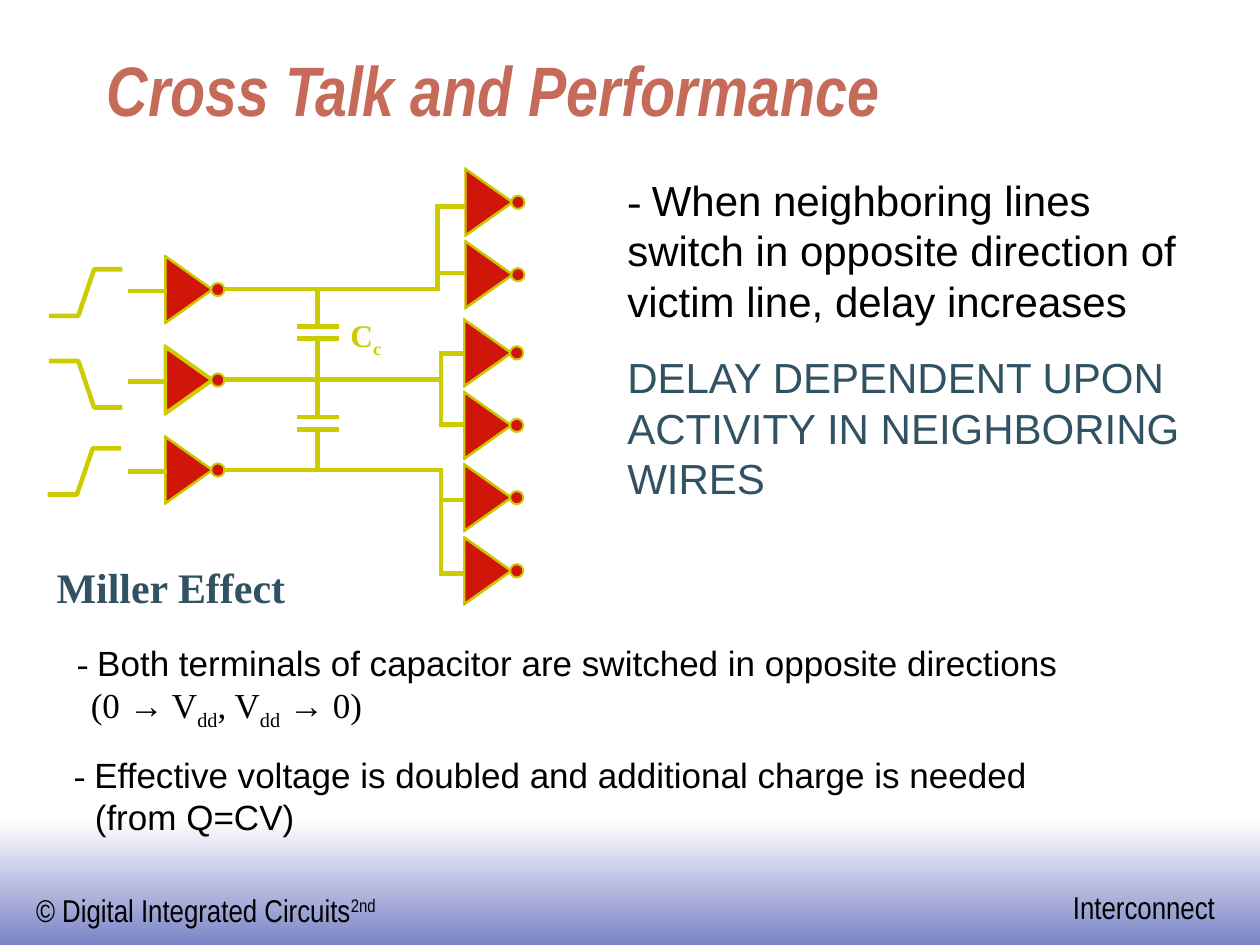
from lxml import etree
from pptx import Presentation
from pptx.dml.color import RGBColor as RGB
from pptx.enum.shapes import MSO_CONNECTOR as Connector, MSO_SHAPE as Shape
from pptx.enum.text import MSO_ANCHOR as Anchor, MSO_AUTO_SIZE as AutoSize
from pptx.oxml.ns import qn
from pptx.util import Pt

COLORS = {
    "wire": "CCCC00", "gate": "D01608", "title": "C66B5A", "accent": "315263",
    "text": "000000", "white": "FFFFFF", "footer": "7B84C6",
}
COLORS = {name: RGB.from_string(value) for name, value in COLORS.items()}
SANS, NARROW, SERIF = "Arial", "Arial Narrow", "Times New Roman"
WIRE = 2.6

deck = Presentation()
deck.slide_width, deck.slide_height = Pt(720), Pt(540)
page = deck.slides.add_slide(deck.slide_layouts[6])


def add_wire(x1, y1, x2, y2):
    wire = page.shapes.add_connector(Connector.STRAIGHT, Pt(x1), Pt(y1), Pt(x2), Pt(y2))
    wire.line.color.rgb = COLORS["wire"]
    wire.line.width = Pt(WIRE)
    etree.SubElement(wire._element.spPr, qn("a:effectLst"))


def add_text(at, paragraphs, wrap=True, inset=(7.2, 3.6), anchor=Anchor.TOP):
    """Each paragraph is (size, font, color, space before, left margin, indent, runs);
    a run is a string or (text, font, baseline in percent)."""
    box = page.shapes.add_textbox(*map(Pt, at))
    frame = box.text_frame
    frame.word_wrap, frame.vertical_anchor = wrap, anchor
    if not wrap:
        frame.auto_size = AutoSize.SHAPE_TO_FIT_TEXT
    frame.margin_left = frame.margin_right = Pt(inset[0])
    frame.margin_top = frame.margin_bottom = Pt(inset[1])
    for number, (size, font, color, before, margin, indent, runs) in enumerate(paragraphs):
        para = frame.paragraphs[0] if number == 0 else frame.add_paragraph()
        para.space_before = Pt(before)
        props = para._p.get_or_add_pPr()
        props.set("marL", str(Pt(margin)))
        props.set("indent", str(Pt(indent)))
        para.font.size, para.font.name, para.font.color.rgb = Pt(size), font, COLORS[color]
        for run in runs:
            if run == "\n":
                para.add_line_break()
                continue
            text, face, baseline = (run, None, 0) if isinstance(run, str) else run
            span = para.add_run()
            span.text = text
            span.font.size, span.font.name = Pt(size), face or font
            span.font.color.rgb = COLORS[color]
            if baseline:
                span._r.get_or_add_rPr().set("baseline", str(baseline * 1000))
    return frame


# Footer band
band = page.shapes.add_shape(Shape.RECTANGLE, 0, Pt(468), Pt(720), Pt(72))
band.shadow.inherit = False
band.line.fill.background()
band.fill.gradient()
band.fill.gradient_angle = 270
for stop, position, color in zip(band.fill.gradient_stops, (0, 1), ("white", "footer")):
    stop.position, stop.color.rgb = position, COLORS[color]
add_text((13.5, 505.5, 212, 29), [(18, NARROW, "text", 0, 0, 0, [
    "© Digital Integrated Circuits", ("2nd", NARROW, 30)])], wrap=False)
add_text((606, 504, 96, 29), [(18, NARROW, "text", 0, 0, 0, ["Interconnect"])], wrap=False)

# Title
title = add_text((54, 24, 612, 54), [
    (40, NARROW, "title", 0, 0, 0, ["Cross Talk and Performance"])], anchor=Anchor.BOTTOM)
title.paragraphs[0].font.bold = title.paragraphs[0].font.italic = True

# Inverters: left edge, centre height, outline width
drivers = [(94.2, 165.5, 0.75), (94.2, 217.2, 1.5), (94.2, 268.6, 0.75)]
loads = [(265.7, 115.6, 0.75), (265.7, 157, 0.75)]
loads += [(265, y, 0.75) for y in (201.7, 243.1, 284.4, 326.2)]
for left, middle, outline in drivers + loads:
    parts = []
    for inset, length, half in ((0, 27.8, 19.7), (0.6, 26, 18.4)):
        gate = page.shapes.build_freeform(Pt(left + inset), Pt(middle - half))
        gate.add_line_segments([(Pt(left + inset + length), Pt(middle)),
                                (Pt(left + inset), Pt(middle + half))])
        parts.append((gate.convert_to_shape(), outline))
    bubble = page.shapes.add_shape(
        Shape.OVAL, Pt(left + 26.5), Pt(middle - 3.8), Pt(7.6), Pt(7.6))
    for part, width in parts + [(bubble, 1.13)]:
        part.shadow.inherit = False
        part.fill.solid()
        part.fill.fore_color.rgb = COLORS["gate"]
        part.line.color.rgb = COLORS["wire"]
        part.line.width = Pt(width)

# Nets: line height, bus position, bus top and bottom, branch heights
nets = [
    (165.2, 249.9, 116.7, 166.5, (118, 156)),
    (217, 252, 200.8, 243.9, (202.1, 242.6)),
    (268.6, 252, 267.3, 328.9, (285.8, 327.6)),
]
for (left, middle, _), (height, bus, top, bottom, branches) in zip(drivers, nets):
    add_wire(left - 21, middle + 0.8, left + 1, middle + 0.8)
    add_wire(left + 33.5, height, bus, height)
    add_wire(bus, top, bus, bottom)
    for branch in branches:
        add_wire(bus - WIRE / 2, branch, 266, branch)

# Coupling capacitors
for top in (165.2, 217):
    add_wire(181.6, top, 181.6, top + 21.3)
    add_wire(181.6, top + 28.3, 181.6, top + 51.6)
    for plate in (top + 21.3, top + 28.3):
        add_wire(170, plate, 193.8, plate)

# Input waveforms: left, start height, step
for left, start, step in ((27.2, 282.6, -26.4), (28, 180.5, -26.6), (28, 206.3, 26.6)):
    wave = page.shapes.build_freeform(Pt(left), Pt(start))
    wave.add_line_segments([(Pt(left + 16.8), Pt(start)), (Pt(left + 25.8), Pt(start + step)),
                            (Pt(left + 42), Pt(start + step))], close=False)
    signal = wave.convert_to_shape()
    signal.shadow.inherit = False
    signal.fill.background()
    signal.line.color.rgb = COLORS["wire"]
    signal.line.width = Pt(WIRE)

# Capacitor label
label = add_text((200.2, 180.7, 18, 24.5), [
    (18, SERIF, "wire", 0, 0, 0, ["C", ("c", SERIF, -25)])], wrap=False, inset=(0, 0))
label.paragraphs[0].font.bold = True

# Delay remarks
add_text((351.4, 96, 341.3, 195), [
    (24, SANS, "text", 0, 0, 0, [
        ("- ", SERIF, 0),
        "When neighboring lines switch in opposite direction of victim line, delay increases"]),
    (24, SANS, "accent", 15, 0, 0, ["DELAY DEPENDENT UPON ACTIVITY IN NEIGHBORING WIRES"]),
])

# Miller effect
miller = add_text((25.2, 317.2, 671, 165.6), [
    (24, SERIF, "accent", 0, 0, 0, ["Miller Effect"]),
    (20, SERIF, "text", 17, 19.6, -8, [
        "- ", ("Both terminals of capacitor are switched in opposite directions", SANS, 0), "\n",
        "(0 ", ("→", SANS, 0), " V", ("dd", SERIF, -25), ", V", ("dd", SERIF, -25), " ",
        ("→", SANS, 0), " 0)"]),
    (20, SANS, "text", 12.5, 21.9, -12, [
        ("- ", SERIF, 0), "Effective voltage is doubled and additional charge is needed", "\n",
        "(from Q=CV)"]),
])
miller.paragraphs[0].font.bold = True

deck.save("out.pptx")
